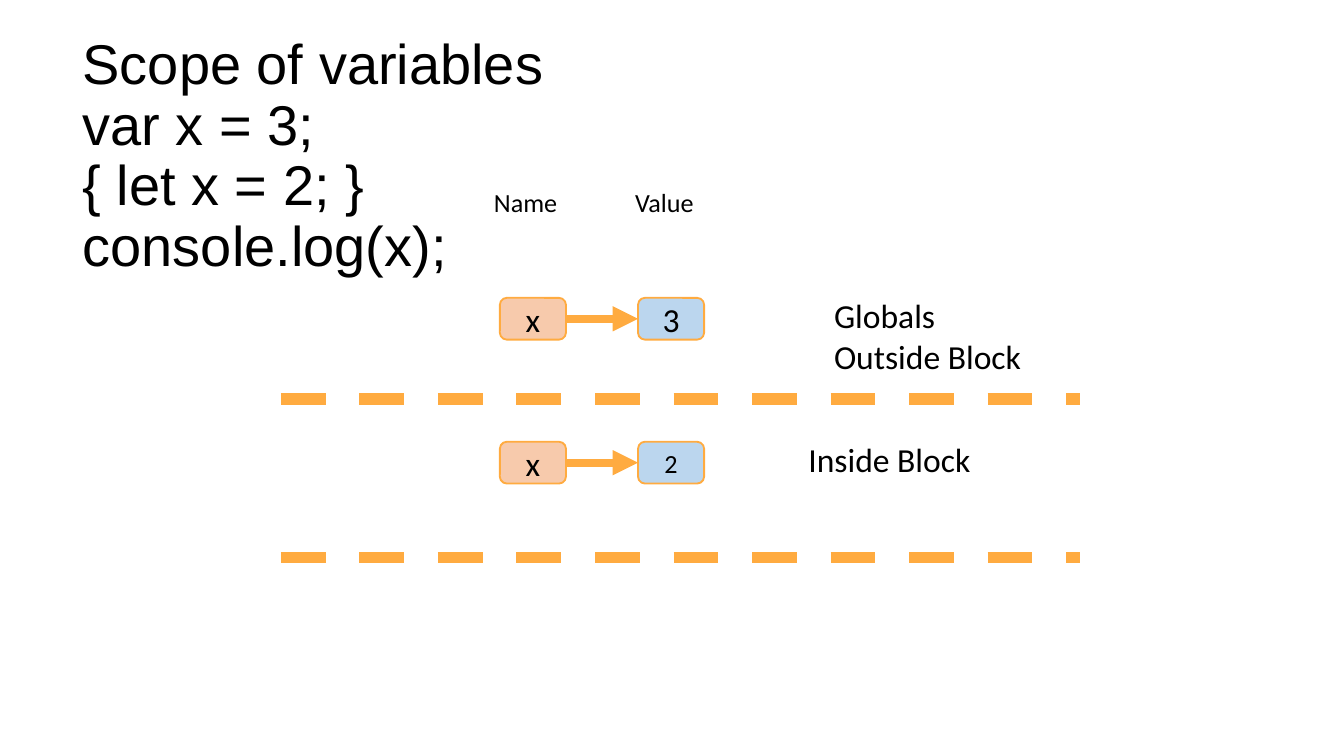
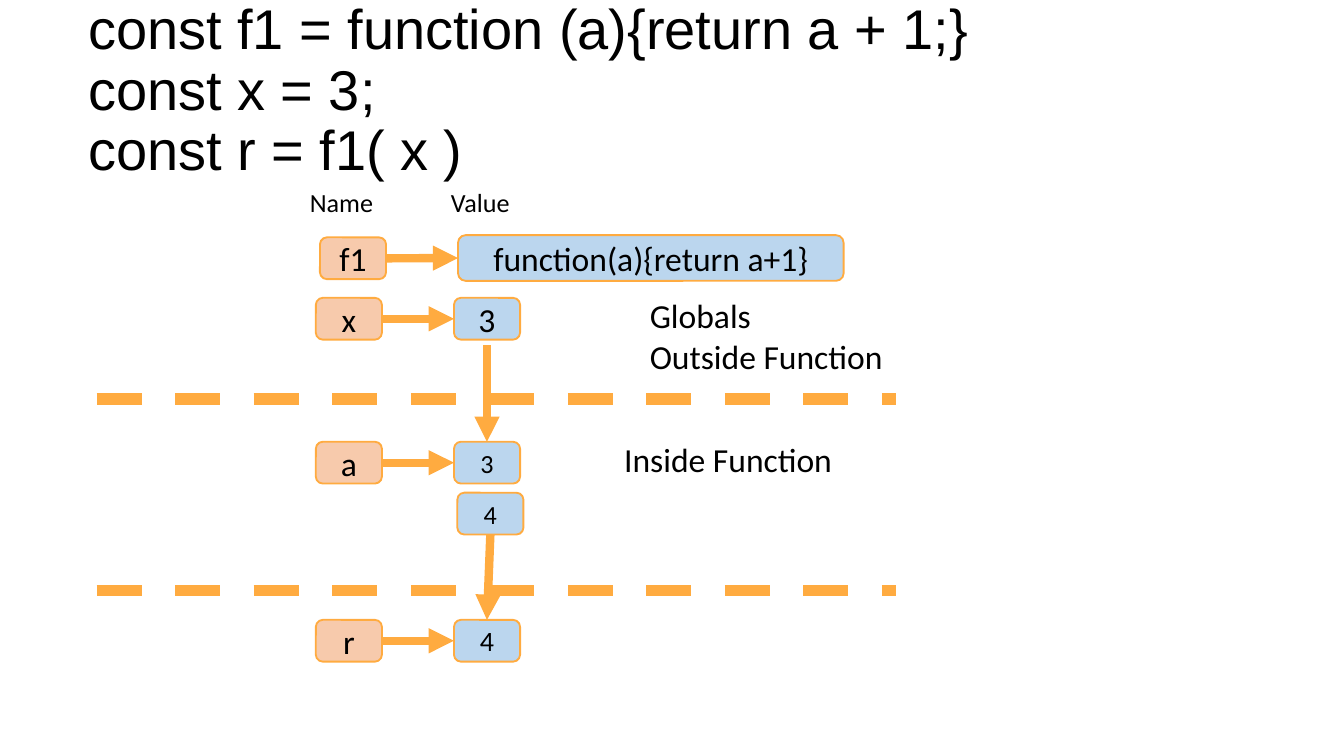
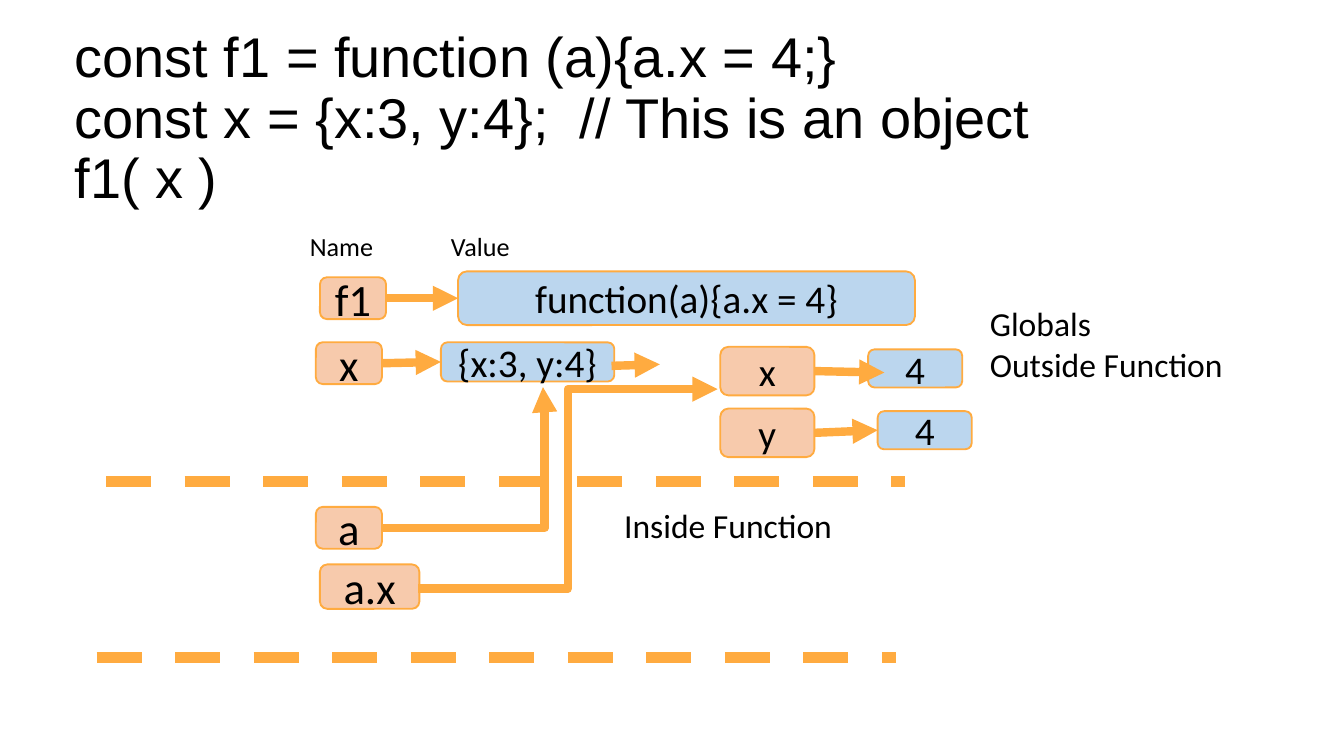
from dataclasses import dataclass
from typing import NamedTuple

from lxml import etree
from pptx import Presentation
from pptx.dml.color import RGBColor
from pptx.enum.dml import MSO_LINE
from pptx.enum.shapes import MSO_CONNECTOR, MSO_SHAPE
from pptx.enum.text import MSO_ANCHOR, PP_ALIGN
from pptx.oxml.ns import qn
from pptx.shapes.autoshape import Shape
from pptx.shapes.connector import Connector
from pptx.slide import Slide
from pptx.text.text import TextFrame
from pptx.util import Pt

STRAIGHT = MSO_CONNECTOR.STRAIGHT
ELBOW = MSO_CONNECTOR.ELBOW
ROUNDED = MSO_SHAPE.ROUNDED_RECTANGLE
DASH = MSO_LINE.DASH
ANCHOR_TOP = MSO_ANCHOR.TOP
ANCHOR_MIDDLE = MSO_ANCHOR.MIDDLE
ALIGN_LEFT = PP_ALIGN.LEFT
ALIGN_CENTER = PP_ALIGN.CENTER

BLACK = RGBColor(0x00, 0x00, 0x00)
WHITE = RGBColor(0xFF, 0xFF, 0xFF)
ORANGE = RGBColor(0xFF, 0xAB, 0x40)
PEACH = RGBColor(0xF7, 0xCA, 0xAC)
BLUE = RGBColor(0xBB, 0xD6, 0xEE)

TITLE_FONT = "Arial"
BODY_FONT = "Calibri"
TITLE_SIZE = 30
TITLE_HEIGHT = 78.5
TITLE_LINE = 32.4
SIDE_INSET = 5.4
EDGE_INSET = 2.7
BOX_WIDTH = 35.4
BOX_HEIGHT = 22.4
HEADER_STEP = 75.6
DIVIDER_LENGTH = 428
TOP, LEFT, BOTTOM, RIGHT = range(4)


class Point(NamedTuple):
    x: float
    y: float


class Joint(NamedTuple):
    box: str
    side: int


class Arrow(NamedTuple):
    start: Joint | Point
    end: Joint | Point


class Elbow(NamedTuple):
    start: Point
    end: Point
    bend: float


class Label(NamedTuple):
    lines: tuple[str, ...]
    left: float
    top: float
    height: float


@dataclass(frozen=True)
class Title:
    paragraphs: tuple[str, ...]
    left: float
    top: float
    width: float
    lines_below: int = 0


@dataclass(frozen=True)
class Box:
    text: str
    left: float
    top: float
    fill: RGBColor
    size: int = 18
    width: float = BOX_WIDTH
    height: float = BOX_HEIGHT


@dataclass(frozen=True)
class ScopeSlide:
    title: Title
    headers: Point
    labels: tuple[Label, ...]
    dividers: tuple[Point, ...]
    boxes: dict[str, Box]
    arrows: tuple[Arrow, ...]
    elbows: tuple[Elbow, ...] = ()


def across(start: str, end: str) -> Arrow:
    return Arrow(Joint(start, RIGHT), Joint(end, LEFT))


def write_text(frame: TextFrame, paragraphs: tuple[str, ...], font: str, size: float,
               anchor: MSO_ANCHOR = ANCHOR_TOP, align: PP_ALIGN = ALIGN_LEFT,
               spacing: float = 1.0) -> None:
    frame.word_wrap = True
    frame.vertical_anchor = anchor
    frame.margin_left = frame.margin_right = Pt(SIDE_INSET)
    frame.margin_top = frame.margin_bottom = Pt(EDGE_INSET)
    for index, text in enumerate(paragraphs):
        paragraph = frame.add_paragraph() if index else frame.paragraphs[0]
        paragraph.alignment = align
        paragraph.line_spacing = spacing
        for line_index, line in enumerate(text.split("\n")):
            if line_index:
                paragraph.add_line_break()
            run = paragraph.add_run()
            run.text = line
            run.font.name = font
            run.font.size = Pt(size)
            run.font.color.rgb = BLACK


def add_text(slide: Slide, left: float, top: float, width: float, height: float) -> TextFrame:
    return slide.shapes.add_textbox(Pt(left), Pt(top), Pt(width), Pt(height)).text_frame


def draw_title(slide: Slide, title: Title) -> None:
    frame = add_text(slide, title.left, title.top, title.width, TITLE_HEIGHT)
    write_text(frame, title.paragraphs, TITLE_FONT, TITLE_SIZE, ANCHOR_MIDDLE, spacing=0.9)
    frame.margin_bottom = Pt(EDGE_INSET + title.lines_below * TITLE_LINE)


def draw_headers(slide: Slide, origin: Point) -> None:
    for column, heading in enumerate(("Name", "Value")):
        frame = add_text(slide, origin.x + column * HEADER_STEP, origin.y, 53.3, 21.6)
        write_text(frame, (heading,), BODY_FONT, 14)


def draw_label(slide: Slide, label: Label) -> None:
    frame = add_text(slide, label.left, label.top, 141, label.height)
    write_text(frame, label.lines, BODY_FONT, 18)


def draw_box(slide: Slide, box: Box) -> Shape:
    shape = slide.shapes.add_shape(ROUNDED, Pt(box.left), Pt(box.top),
                                   Pt(box.width), Pt(box.height))
    shape.shadow.inherit = False
    shape.fill.solid()
    shape.fill.fore_color.rgb = box.fill
    shape.line.color.rgb = ORANGE
    shape.line.width = Pt(1)
    write_text(shape.text_frame, (box.text,), BODY_FONT, box.size, ANCHOR_MIDDLE, ALIGN_CENTER)
    return shape


def add_line(slide: Slide, kind: MSO_CONNECTOR, start: Point, end: Point,
             width: float) -> Connector:
    line = slide.shapes.add_connector(kind, Pt(start.x), Pt(start.y), Pt(end.x), Pt(end.y))
    line.line.color.rgb = ORANGE
    line.line.width = Pt(width)
    etree.SubElement(line._element.spPr, qn("a:effectLst"))
    return line


def add_arrow(slide: Slide, kind: MSO_CONNECTOR, start: Point, end: Point) -> Connector:
    arrow = add_line(slide, kind, start, end, 4.5)
    outline = arrow._element.spPr.find(qn("a:ln"))
    etree.SubElement(outline, qn("a:tailEnd"), type="triangle")
    return arrow


def draw_divider(slide: Slide, start: Point) -> None:
    end = Point(start.x + DIVIDER_LENGTH, start.y)
    add_line(slide, STRAIGHT, start, end, 6).line.dash_style = DASH


def draw_arrow(slide: Slide, arrow: Arrow, shapes: dict[str, Shape]) -> None:
    start, end = (Point(0, 0) if isinstance(tip, Joint) else tip for tip in arrow)
    connector = add_arrow(slide, STRAIGHT, start, end)
    if isinstance(arrow.start, Joint):
        connector.begin_connect(shapes[arrow.start.box], arrow.start.side)
    if isinstance(arrow.end, Joint):
        connector.end_connect(shapes[arrow.end.box], arrow.end.side)


def draw_elbow(slide: Slide, elbow: Elbow) -> None:
    connector = add_arrow(slide, ELBOW, elbow.start, elbow.end)
    guides = connector._element.spPr.find(qn("a:prstGeom")).find(qn("a:avLst"))
    etree.SubElement(guides, qn("a:gd"), name="adj1", fmla=f"val {round(elbow.bend * 100000)}")


def draw_slide(slide: Slide, content: ScopeSlide) -> None:
    slide.background.fill.solid()
    slide.background.fill.fore_color.rgb = WHITE
    draw_title(slide, content.title)
    draw_headers(slide, content.headers)
    for divider in content.dividers:
        draw_divider(slide, divider)
    for label in content.labels:
        draw_label(slide, label)
    shapes = {key: draw_box(slide, box) for key, box in content.boxes.items()}
    for arrow in content.arrows:
        draw_arrow(slide, arrow, shapes)
    for elbow in content.elbows:
        draw_elbow(slide, elbow)


BLOCK_SCOPE = ScopeSlide(
    title=Title(("Scope of variables", "var x = 3;\n{ let x = 2; }\nconsole.log(x);"),
                38.9, 61.2, 447.8, lines_below=1),
    headers=Point(259.2, 97.2),
    labels=(Label(("Globals", "Outside Block"), 441.4, 155.5, 49),
            Label(("Inside Block",), 427.7, 232.6, 27.4)),
    dividers=(Point(150.5, 213.8), Point(150.5, 298.6)),
    boxes={
        "outer name": Box("x", 267.8, 159.6, PEACH),
        "outer value": Box("3", 341.8, 159.6, BLUE),
        "inner name": Box("x", 267.8, 236.7, PEACH),
        "inner value": Box("2", 341.8, 236.7, BLUE, 14),
    },
    arrows=(across("outer name", "outer value"), across("inner name", "inner value")),
)

VALUE_ARGUMENT = ScopeSlide(
    title=Title(("const f1 = function (a){return a + 1;}\nconst x = 3;\nconst r = f1( x )",),
                41.8, 10.1, 609.8),
    headers=Point(160.6, 97.2),
    labels=(Label(("Globals", "Outside Function"), 342.7, 155.5, 49),
            Label(("Inside Function",), 329, 232.6, 27.4)),
    dividers=(Point(51.8, 213.8), Point(51.8, 316.4)),
    boxes={
        "f1": Box("f1", 171.4, 127.2, PEACH),
        "function": Box("function(a){return a+1}", 245.4, 126, BLUE, width=206.6, height=24.5),
        "x": Box("x", 169.2, 159.6, PEACH),
        "x value": Box("3", 243.2, 159.6, BLUE),
        "a": Box("a", 169.2, 236.7, PEACH),
        "a value": Box("3", 243.2, 236.7, BLUE, 14),
        "returned": Box("4", 245, 264, BLUE, 14),
        "r": Box("r", 169.2, 332.1, PEACH),
        "r value": Box("4", 243.2, 332.1, BLUE, 15),
    },
    arrows=(across("f1", "function"), across("x", "x value"), across("a", "a value"),
            across("r", "r value"),
            Arrow(Point(260.9, 185), Joint("a value", TOP)),
            Arrow(Joint("returned", BOTTOM), Joint("r value", TOP))),
)

OBJECT_ARGUMENT = ScopeSlide(
    title=Title(("const f1 = function (a){a.x = 4;}\n"
                 "const x = {x:3, y:4};  // This is an object\nf1( x )",),
                34.6, 25.2, 616.3),
    headers=Point(160.6, 121),
    labels=(Label(("Globals", "Outside Function"), 524.9, 159.8, 49),
            Label(("Inside Function",), 329, 267.8, 27.4)),
    dividers=(Point(56.9, 257.8), Point(51.8, 352.4)),
    boxes={
        "f1": Box("f1", 171.4, 148.6, PEACH, 24),
        "function": Box("function(a){a.x = 4}", 245.4, 145.4, BLUE, 21, 244.8, 28.8),
        "x": Box("x", 169.2, 183.4, PEACH, 24),
        "object": Box("{x:3, y:4}", 236.2, 183.4, BLUE, 21, 92.9, 21),
        "x property": Box("x", 385.9, 185.8, PEACH, 21, 50.4, 26),
        "x value": Box("4", 465.1, 187.2, BLUE, 21, 50.4, 20.4),
        "y property": Box("y", 385.9, 218.9, PEACH, 21, 50.4, 26),
        "y value": Box("4", 470.2, 220.3, BLUE, 21, 50.4, 20.4),
        "a": Box("a", 169.2, 271.6, PEACH, 24),
        "a.x": Box("a.x", 171.4, 302.4, PEACH, 24, 53.3, 23.8),
    },
    arrows=(across("f1", "function"), across("x", "object"),
            across("y property", "y value"),
            Arrow(Joint("x property", RIGHT), Point(473.8, 199.6)),
            Arrow(Point(327.6, 196), Point(353.5, 195.2))),
    elbows=(Elbow(Point(204.6, 283), Point(290.9, 207.4), 1.01),
            Elbow(Point(224, 315.4), Point(384.5, 208.5), 0.5)),
)


def main() -> None:
    deck = Presentation()
    deck.slide_width = Pt(720)
    deck.slide_height = Pt(405)
    blank_layout = deck.slide_layouts[6]
    for content in (BLOCK_SCOPE, VALUE_ARGUMENT, OBJECT_ARGUMENT):
        draw_slide(deck.slides.add_slide(blank_layout), content)
    deck.save("out.pptx")


if __name__ == "__main__":
    main()
